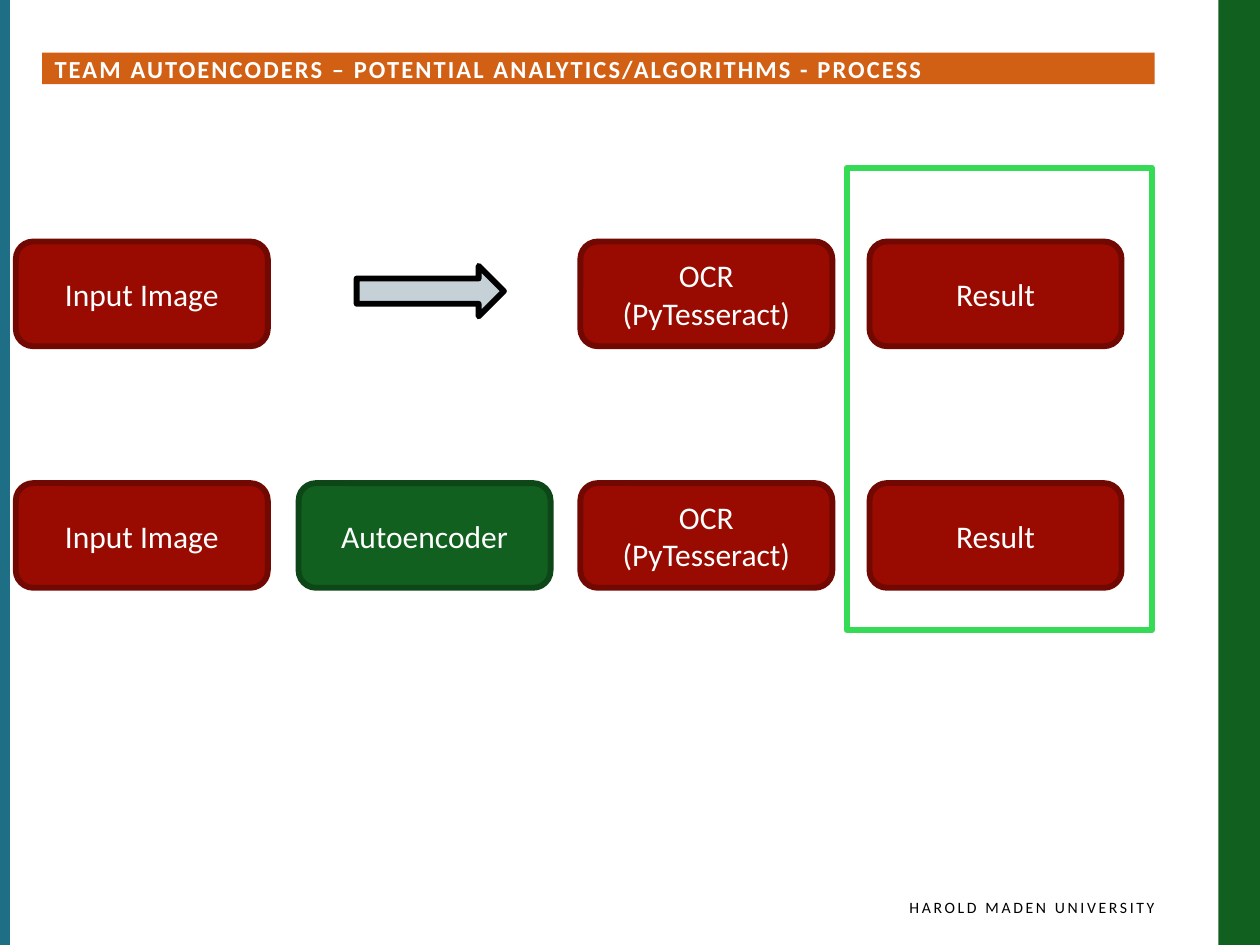
from dataclasses import dataclass

from pptx import Presentation
from pptx import util as u
from pptx.dml.color import RGBColor
from pptx.enum import shapes, text

Kind = shapes.MSO_SHAPE
Align = text.PP_ALIGN


@dataclass(frozen=True)
class Theme:
    font: str = "Calibri"
    white: str = "FFFFFF"
    black: str = "000000"
    teal: str = "1E6E86"
    orange: str = "D26014"
    red: str = "990B01"
    maroon: str = "710801"
    green: str = "116020"
    forest: str = "0D4718"
    lime: str = "35DB54"
    gray: str = "C5D1D7"
    line: float = 3.35
    head: int = 14
    body: int = 18
    foot: int = 9


THEME = Theme()
COLS = (0.32, 6.02, 11.7, 17.53)
ROWS = (4.87, 9.74)
STEP_W, STEP_H = 5.08, 2.11
OCR = "OCR\n(PyTesseract)"


def add_form(slide, kind, box, fill=None, line=None):
    """Add a preset shape; box is left, top, width, height in cm."""
    form = slide.shapes.add_shape(kind, *map(u.Cm, box))
    form.shadow.inherit = False
    if fill:
        form.fill.solid()
        form.fill.fore_color.rgb = RGBColor.from_string(fill)
    else:
        form.fill.background()
    if line:
        form.line.color.rgb = RGBColor.from_string(line)
        form.line.width = u.Pt(THEME.line)
    else:
        form.line.fill.background()
    return form


def set_text(form, words, size, color, align, bold=False, space=0):
    """Write one paragraph per line; space is letter spacing in points."""
    frame = form.text_frame
    frame.word_wrap = True
    frame.text = words
    for para in frame.paragraphs:
        para.alignment = align
        font = para.font
        font.name, font.size, font.bold = THEME.font, u.Pt(size), bold
        font.color.rgb = RGBColor.from_string(color)
        if space:
            for run in para.runs:
                run.font._element.set("spc", str(round(space * 100)))
    return frame


def add_step(slide, col, row, words, fill=THEME.red, line=THEME.maroon):
    box = (COLS[col], ROWS[row], STEP_W, STEP_H)
    step = add_form(slide, Kind.ROUNDED_RECTANGLE, box, fill, line)
    set_text(step, words, THEME.body, THEME.white, Align.CENTER)


def add_title(slide, words):
    bar = add_form(slide, Kind.RECTANGLE, (0.85, 1.06, 22.43, 0.64), THEME.orange)
    frame = set_text(bar, words, THEME.head, THEME.white, Align.LEFT, True, 1.2)
    frame.margin_top = frame.margin_bottom = 0
    frame.vertical_anchor = text.MSO_ANCHOR.MIDDLE


def add_footer(slide, words):
    box = slide.shapes.add_textbox(*map(u.Cm, (12.9, 17.98, 10.37, 0.85)))
    frame = set_text(box, words, THEME.foot, THEME.black, Align.RIGHT, space=1.5)
    frame.margin_right = 0


def main():
    deck = Presentation()
    deck.slide_width, deck.slide_height = u.Cm(25.4), u.Cm(19.05)
    slide = deck.slides.add_slide(deck.slide_layouts[6])

    add_form(slide, Kind.RECTANGLE, (24.56, 0, 0.84, 19.05), THEME.green)
    add_form(slide, Kind.RECTANGLE, (0, 0, 0.2, 19.05), THEME.teal)
    add_footer(slide, "HAROLD MADEN UNIVERSITY")
    add_title(slide, "TEAM AUTOENCODERS – POTENTIAL ANALYTICS/ALGORITHMS - PROCESS")

    for row in range(len(ROWS)):
        for col, words in ((0, "Input Image"), (2, OCR), (3, "Result")):
            add_step(slide, col, row, words)
    add_step(slide, 1, 1, "Autoencoder", THEME.green, THEME.forest)
    add_form(slide, Kind.RIGHT_ARROW, (7.19, 5.36, 2.97, 1.02), THEME.gray, THEME.black)
    add_form(slide, Kind.RECTANGLE, (17.07, 3.38, 6.15, 9.32), line=THEME.lime)

    deck.save("out.pptx")


if __name__ == "__main__":
    main()
